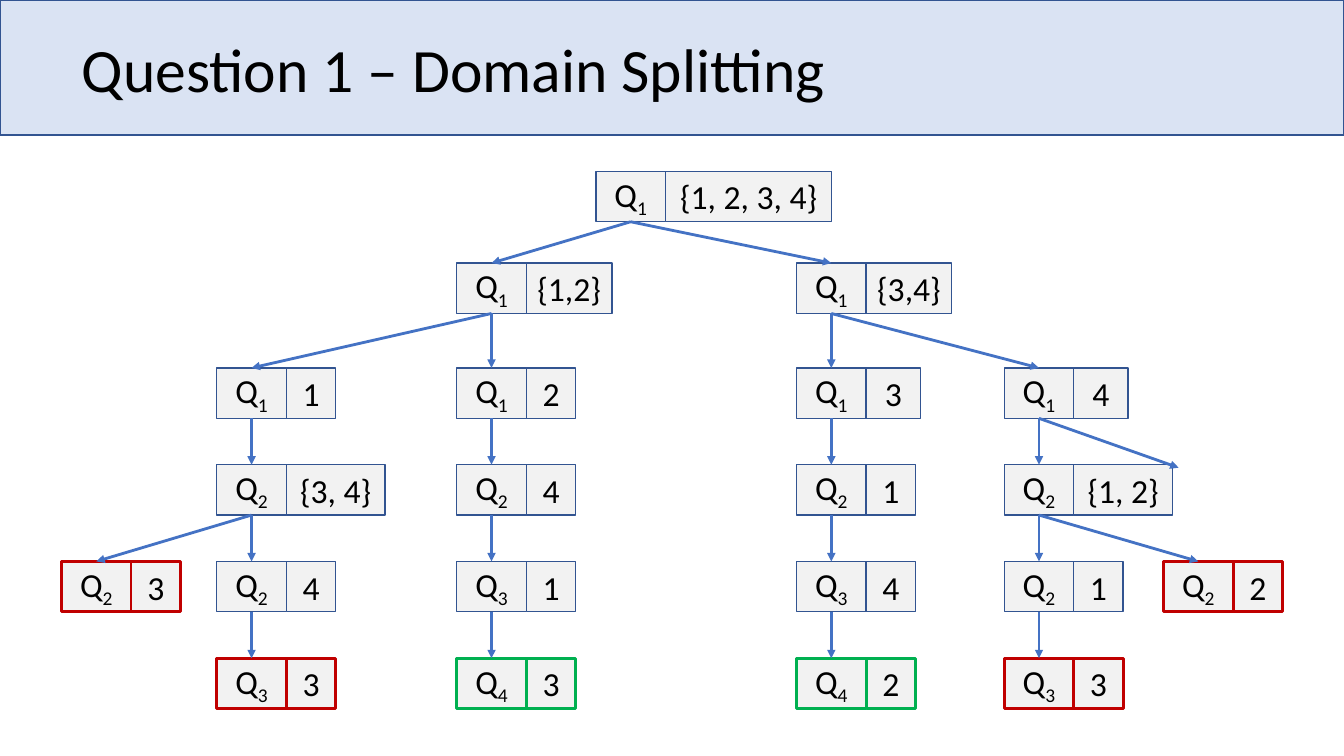
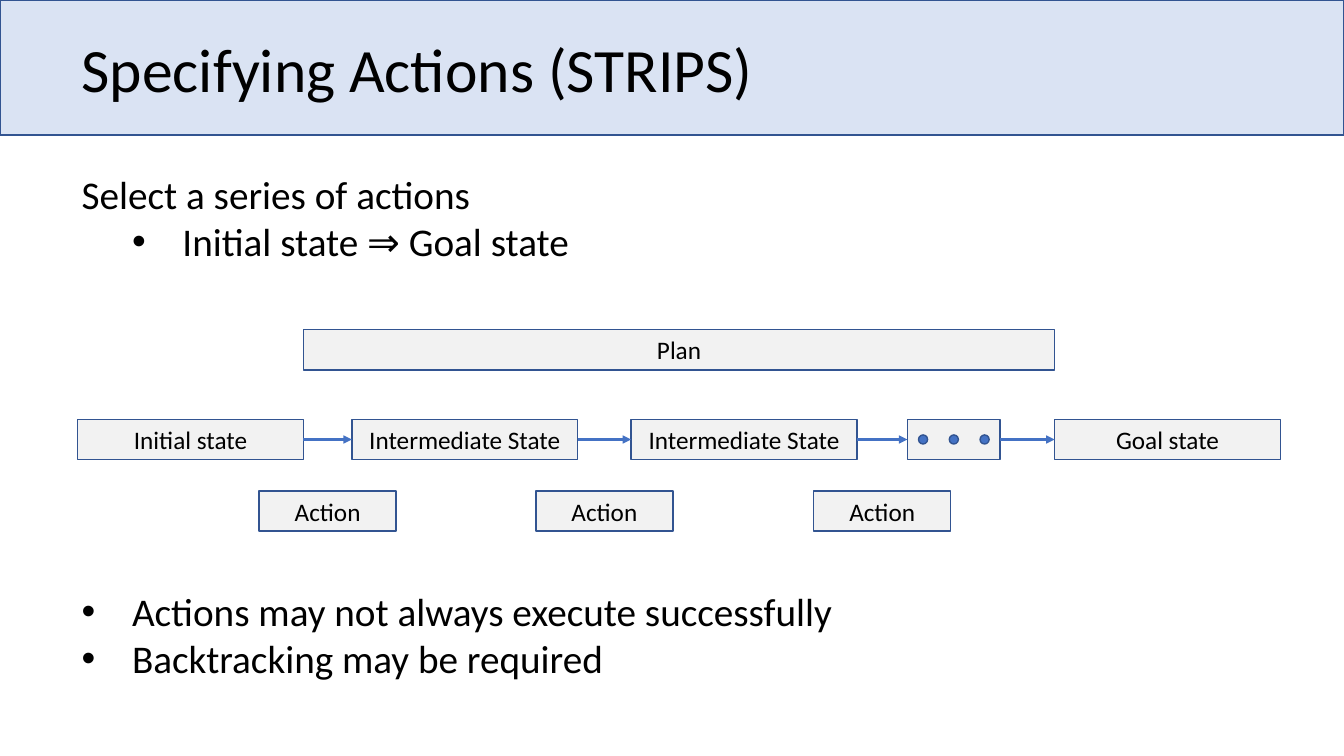
from dataclasses import dataclass, field
from itertools import pairwise

from lxml import etree
from pptx import Presentation
from pptx.dml.color import RGBColor
from pptx.enum.shapes import MSO_CONNECTOR, MSO_SHAPE
from pptx.enum.text import MSO_ANCHOR, MSO_AUTO_SIZE, PP_ALIGN
from pptx.oxml.ns import qn
from pptx.util import Inches, Pt

RECTANGLE = MSO_SHAPE.RECTANGLE
OVAL = MSO_SHAPE.OVAL
STRAIGHT = MSO_CONNECTOR.STRAIGHT
MIDDLE = MSO_ANCHOR.MIDDLE
NO_AUTOFIT = MSO_AUTO_SIZE.NONE
LEFT = PP_ALIGN.LEFT
CENTER = PP_ALIGN.CENTER
TOP_SITE, LEFT_SITE, BOTTOM_SITE, RIGHT_SITE = range(4)

FONT = "Calibri"
COLORS = {
    "band": "DAE3F3",
    "box": "F2F2F2",
    "edge": "325491",
    "arrow": "4472C4",
    "failed": "C00000",
    "solved": "00B050",
    "text": "000000",
}
SLIDE_WIDTH, SLIDE_HEIGHT = 13.33, 7.5
TWO_CONTENT_LAYOUT, TITLE_ONLY_LAYOUT = 3, 5

ROW_TOPS = [1.7, 2.61, 3.65, 4.61, 5.57, 6.53]
NODE_HEIGHT = 0.5
VARIABLE_WIDTH = 0.69
DOMAIN_WIDTHS = {1: 0.49, 5: 0.85, 6: 0.98, 12: 1.65}

STATE_TOP = 4.16
STATE_WIDTH = 2.24
STEP_HEIGHT = 0.4
ACTION_WIDTH = 1.36
DOT_SIZE = 0.09


@dataclass
class Node:
    left: float
    variable: str
    domain: str
    children: list = field(default_factory=list)
    outline: str = "edge"
    width: float = 0


SEARCH_TREE = Node(5.91, "1", "{1, 2, 3, 4}", [
    Node(4.53, "1", "{1,2}", [
        Node(2.15, "1", "1", [
            Node(2.15, "2", "{3, 4}", [
                Node(0.61, "2", "3", outline="failed"),
                Node(2.15, "2", "4", [Node(2.15, "3", "3", outline="failed")]),
            ]),
        ]),
        Node(4.53, "1", "2", [
            Node(4.53, "2", "4", [
                Node(4.53, "3", "1", [Node(4.53, "4", "3", outline="solved")]),
            ]),
        ]),
    ]),
    Node(7.9, "1", "{3,4}", [
        Node(7.9, "1", "3", [
            Node(7.9, "2", "1", [
                Node(7.9, "3", "4", [Node(7.9, "4", "2", outline="solved")]),
            ]),
        ], width=0.54),
        Node(9.96, "1", "4", [
            Node(9.96, "2", "{1, 2}", [
                Node(9.96, "2", "1", [Node(9.96, "3", "3", outline="failed")]),
                Node(11.54, "2", "2", outline="failed"),
            ]),
        ], width=0.54),
    ]),
])


def rgb(name):
    return RGBColor.from_string(COLORS[name])


def add_text(paragraph, text, size=18, color="text", align=LEFT, spacing=1.0, subscript=False):
    paragraph.alignment = align
    paragraph.line_spacing = spacing
    paragraph.space_before = paragraph.space_after = Pt(0)
    run = paragraph.add_run()
    run.text = text
    run.font.name = FONT
    run.font.size = Pt(size)
    run.font.color.rgb = rgb(color)
    if subscript:
        run._r.get_or_add_rPr().set("baseline", "-25000")


def place(shape, left, top, width, height):
    shape.left, shape.top = Inches(left), Inches(top)
    shape.width, shape.height = Inches(width), Inches(height)


def add_box(shapes, left, top, width, height, text="", size=18, subscript="",
            fill="box", outline="edge", weight=1, preset=RECTANGLE):
    box = shapes.add_shape(preset, Inches(left), Inches(top), Inches(width), Inches(height))
    box.shadow.inherit = False
    box.fill.solid()
    box.fill.fore_color.rgb = rgb(fill)
    box.line.color.rgb = rgb(outline)
    box.line.width = Pt(weight)
    if text:
        frame = box.text_frame
        frame.margin_left = frame.margin_right = 0
        frame.vertical_anchor = MIDDLE
        add_text(frame.paragraphs[0], text, size, align=CENTER)
        if subscript:
            add_text(frame.paragraphs[0], subscript, size, align=CENTER, subscript=True)
    return box


def add_arrow(shapes, source, source_site, target=None, target_site=TOP_SITE, end=(0, 0)):
    arrow = shapes.add_connector(STRAIGHT, 0, 0, Inches(end[0]), Inches(end[1]))
    arrow.begin_connect(source, source_site)
    if target is not None:
        arrow.end_connect(target, target_site)
    arrow.line.color.rgb = rgb("arrow")
    arrow.line.width = Pt(2)
    etree.SubElement(arrow.line._get_or_add_ln(), qn("a:tailEnd"), type="triangle")
    etree.SubElement(arrow.element.spPr, qn("a:effectLst"))


def start_slide(deck, layout, heading):
    slide = deck.slides.add_slide(deck.slide_layouts[layout])
    title = slide.shapes.title
    band = add_box(slide.shapes, 0, 0, SLIDE_WIDTH, 1.34, fill="band")
    title.element.addprevious(band.element)
    place(title, 0.71, -0.01, 11.5, 1.45)
    title.text_frame.auto_size = NO_AUTOFIT
    title.text_frame.vertical_anchor = MIDDLE
    add_text(title.text_frame.paragraphs[0], heading, size=44, spacing=0.9)
    return slide


def set_bullet(paragraph, margin):
    properties = paragraph._p.get_or_add_pPr()
    properties.set("marL", str(Inches(margin)))
    properties.set("indent", str(Inches(-0.5 if margin else 0)))
    if margin:
        etree.SubElement(properties, qn("a:buFont"), typeface="Arial")
        etree.SubElement(properties, qn("a:buChar"), char="•")
    else:
        etree.SubElement(properties, qn("a:buNone"))


def fill_list(body, top, height, items):
    place(body, 0.71, top, 11.92, height)
    frame = body.text_frame
    frame.auto_size = NO_AUTOFIT
    for index, (text, level, margin) in enumerate(items):
        paragraph = frame.add_paragraph() if index else frame.paragraphs[0]
        paragraph.level = level
        add_text(paragraph, text, size=28)
        set_bullet(paragraph, margin)


def add_node(shapes, node, depth=0):
    top = ROW_TOPS[depth]
    style = {"size": 24, "outline": node.outline, "weight": 1 if node.outline == "edge" else 2}
    pair = shapes.add_group_shape().shapes
    variable = add_box(pair, node.left, top, VARIABLE_WIDTH, NODE_HEIGHT, "Q",
                       subscript=node.variable, **style)
    add_box(pair, node.left + VARIABLE_WIDTH, top, node.width or DOMAIN_WIDTHS[len(node.domain)],
            NODE_HEIGHT, node.domain, **style)
    for child in node.children:
        child_variable = add_node(shapes, child, depth + 1)
        add_arrow(shapes, variable, BOTTOM_SITE, child_variable, TOP_SITE)
    if (node.variable, node.domain) == ("1", "4"):
        add_arrow(shapes, variable, BOTTOM_SITE, end=(11.69, 4.64))
    return variable


def add_ellipsis_box(shapes, left, width):
    group = shapes.add_group_shape().shapes
    box = add_box(group, left, STATE_TOP, width, STEP_HEIGHT)
    for index in range(3):
        add_box(group, left + 0.11 + index * 0.305, STATE_TOP + (STEP_HEIGHT - DOT_SIZE) / 2,
                DOT_SIZE, DOT_SIZE, fill="arrow", preset=OVAL)
    return box


def build_domain_splitting(deck):
    slide = start_slide(deck, TITLE_ONLY_LAYOUT, "Question 1 – Domain Splitting")
    add_node(slide.shapes, SEARCH_TREE)


def build_strips(deck):
    slide = start_slide(deck, TWO_CONTENT_LAYOUT, "Specifying Actions (STRIPS)")
    shapes = slide.shapes
    fill_list(slide.placeholders[1], 1.64, 1.51, [
        ("Select a series of actions", 0, 0),
        ("Initial state ⇒ Goal state", 1, 1),
    ])
    fill_list(slide.placeholders[2], 5.78, 1.04, [
        ("Actions may not always execute successfully", 0, 0.5),
        ("Backtracking may be required", 0, 0.5),
    ])

    initial, first, second, goal = [
        add_box(shapes, left, STATE_TOP, STATE_WIDTH, STEP_HEIGHT, text)
        for left, text in [
            (0.77, "Initial state"),
            (3.49, "Intermediate State"),
            (6.26, "Intermediate State"),
            (10.46, "Goal state"),
        ]
    ]
    further = add_ellipsis_box(shapes, 9, 0.92)
    chain = [initial, first, second, further, goal]
    for source, target in pairwise(chain):
        add_arrow(shapes, source, RIGHT_SITE, target, LEFT_SITE)
    for source, target in pairwise(chain[:-1]):
        gap_center = (source.left + source.width + target.left) / 2 / Inches(1)
        add_box(shapes, gap_center - ACTION_WIDTH / 2, 4.87, ACTION_WIDTH, STEP_HEIGHT, "Action")
    plan_left = (initial.left + initial.width) / Inches(1)
    add_box(shapes, plan_left, 3.27, goal.left / Inches(1) - plan_left, STEP_HEIGHT, "Plan")


def main():
    deck = Presentation()
    deck.slide_width = Inches(SLIDE_WIDTH)
    deck.slide_height = Inches(SLIDE_HEIGHT)
    build_domain_splitting(deck)
    build_strips(deck)
    deck.save("out.pptx")


if __name__ == "__main__":
    main()
